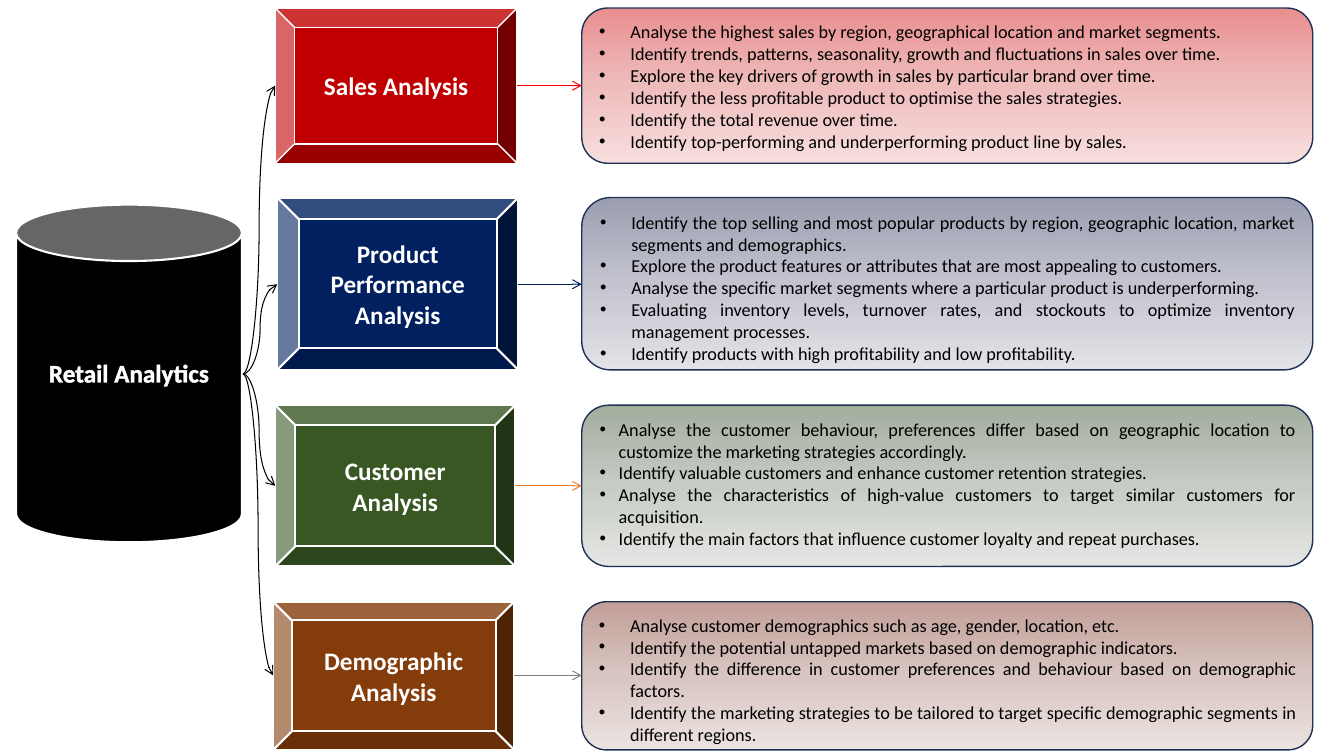
from copy import deepcopy

from lxml import etree
from pptx import Presentation
from pptx.dml.color import RGBColor
from pptx.enum.shapes import MSO_CONNECTOR, MSO_SHAPE
from pptx.enum.text import MSO_ANCHOR, PP_ALIGN
from pptx.oxml import parse_xml
from pptx.oxml.ns import nsdecls, qn
from pptx.util import Pt

BEVEL, CAN, CARD = MSO_SHAPE.BEVEL, MSO_SHAPE.CAN, MSO_SHAPE.ROUNDED_RECTANGLE
STRAIGHT, CURVE = MSO_CONNECTOR.STRAIGHT, MSO_CONNECTOR.CURVE
CENTER, JUSTIFY = PP_ALIGN.CENTER, PP_ALIGN.JUSTIFY
TOP, MIDDLE = MSO_ANCHOR.TOP, MSO_ANCHOR.MIDDLE
PX = 9144  # 100 px to the inch
FONT = "Calibri"
rgb = RGBColor.from_string


def add_box(kind, x, y, w, h, line, width, text, size, color, bold, align, anchor):
    sp = s.shapes.add_shape(kind, x * PX, y * PX, w * PX, h * PX)
    sp.shadow.inherit = False
    sp.line.color.rgb = rgb(line)
    sp.line.width = Pt(width)
    tf = sp.text_frame
    tf.word_wrap = True
    tf.vertical_anchor = anchor
    tf.text = text
    for p in tf.paragraphs:
        p.alignment = align
        for r in p.runs:
            r.font.name, r.font.size, r.font.bold = FONT, Pt(size), bold
            r.font.color.rgb = rgb(color)
    return sp


def add_arrow(kind, x1, y1, x2, y2, color):
    c = s.shapes.add_connector(kind, x1 * PX, y1 * PX, x2 * PX, y2 * PX)
    c.line.color.rgb = rgb(color)
    c.line.width = Pt(0.75)
    etree.SubElement(c.line._get_or_add_ln(), qn("a:tailEnd"), type="arrow")
    etree.SubElement(c._element.spPr, qn("a:effectLst"))


prs = Presentation()
prs.slide_width, prs.slide_height = 1333 * PX, 750 * PX
s = prs.slides.add_slide(prs.slide_layouts[6])

# Each row: title, bevel (x, y, w, h), fill, line width, arrow y, arrow colour,
# card gradient, bullet indent, bullets
rows = [
    ("Sales Analysis", (273, 8, 240, 154), "C00000", 1, 85, "FF0000",
     ("E98F8F", "EFBCBC", "F7DEDE"), 31, [
         "Analyse the highest sales by region, geographical location and market segments.",
         "Identify trends, patterns, seasonality, growth and fluctuations in sales over time.",
         "Explore the key drivers of growth in sales by particular brand over time.",
         "Identify the less profitable product to optimise the sales strategies.",
         "Identify the total revenue over time.",
         "Identify top-performing and underperforming product line by sales."]),
    ("Product Performance Analysis", (275, 196, 239, 171), "002060", 1.5, 282, "002060",
     ("9B9DB1", "C3C4CF", "E2E2E7"), 31, [
         "Identify the top selling and most popular products by region, geographic location, "
         "market segments and demographics.",
         "Explore the product features or attributes that are most appealing to customers.",
         "Analyse the specific market segments where a particular product is underperforming.",
         "Evaluating inventory levels, turnover rates, and stockouts to optimize inventory "
         "management processes.",
         "Identify products with high profitability and low profitability."]),
    ("Customer Analysis", (273, 402, 238, 160), "385723", 1.5, 482, "ED7D31",
     ("A2AD9E", "C7CCC5", "E4E6E3"), 19, [
         "Analyse the customer behaviour, preferences differ based on geographic location to "
         "customize the marketing strategies accordingly.",
         "Identify valuable customers and enhance customer retention strategies.",
         "Analyse the characteristics of high-value customers to target similar customers for "
         "acquisition.",
         "Identify the main factors that influence customer loyalty and repeat purchases."]),
    ("Demographic Analysis", (271, 597, 239, 147), "843C0B", 1.5, 670, "808080",
     ("C29F98", "D8C5C1", "EBE3E1"), 31, [
         "Analyse customer demographics such as age, gender, location, etc.",
         "Identify the potential untapped markets based on demographic indicators.",
         "Identify the difference in customer preferences and behaviour based on demographic "
         "factors.",
         "Identify the marketing strategies to be tailored to target specific demographic "
         "segments in different regions."]),
]

# Source cylinder
can = add_box(CAN, 16, 203, 224, 335, "FFFFFF", 1.5, "Retail Analytics", 18,
              "FFFFFF", True, CENTER, MIDDLE)
can.fill.solid()
can.fill.fore_color.rgb = rgb("000000")
can.text_frame.margin_bottom = 35 * PX
rPr = can.text_frame.paragraphs[0].runs[0].font._element
rPr.insert(0, parse_xml(f'<a:ln {nsdecls("a")} w="10160"><a:solidFill>'
                        '<a:srgbClr val="FFFFFF"/></a:solidFill></a:ln>'))

for title, (x, y, w, h), fill, width, mid, arrow, gradient, indent, bullets in rows:
    # Category bevel
    sp = add_box(BEVEL, x, y, w, h, "FFFFFF", width, title, 18, "FFFFFF", True,
                 CENTER, MIDDLE)
    sp.fill.solid()
    sp.fill.fore_color.rgb = rgb(fill)

    # Detail card with a three-stop gradient
    card = add_box(CARD, 577, y, 725, h, "1E3256", 1, "\n".join(bullets), 13,
                   "000000", False, JUSTIFY, TOP)
    card.fill.gradient()
    card.fill.gradient_angle = 270
    stops = card._element.spPr.find(qn("a:gradFill")).find(qn("a:gsLst"))
    stops.insert(1, deepcopy(stops[0]))
    for stop, position, color in zip(card.fill.gradient_stops, (0, 0.5, 1), gradient):
        stop.position = position
        stop.color.rgb = rgb(color)
    for p in card.text_frame.paragraphs:
        pPr = p._p.get_or_add_pPr()
        pPr.set("marL", str(indent * PX))
        pPr.set("indent", str(-indent * PX))
        etree.SubElement(pPr, qn("a:buFont"), typeface="Arial")
        etree.SubElement(pPr, qn("a:buChar"), char="•")

    # Arrows into the bevel and on to the card
    add_arrow(CURVE, 241, 371, x, mid, "000000")
    add_arrow(STRAIGHT, x + w, mid, 577, mid, arrow)

prs.save("out.pptx")
